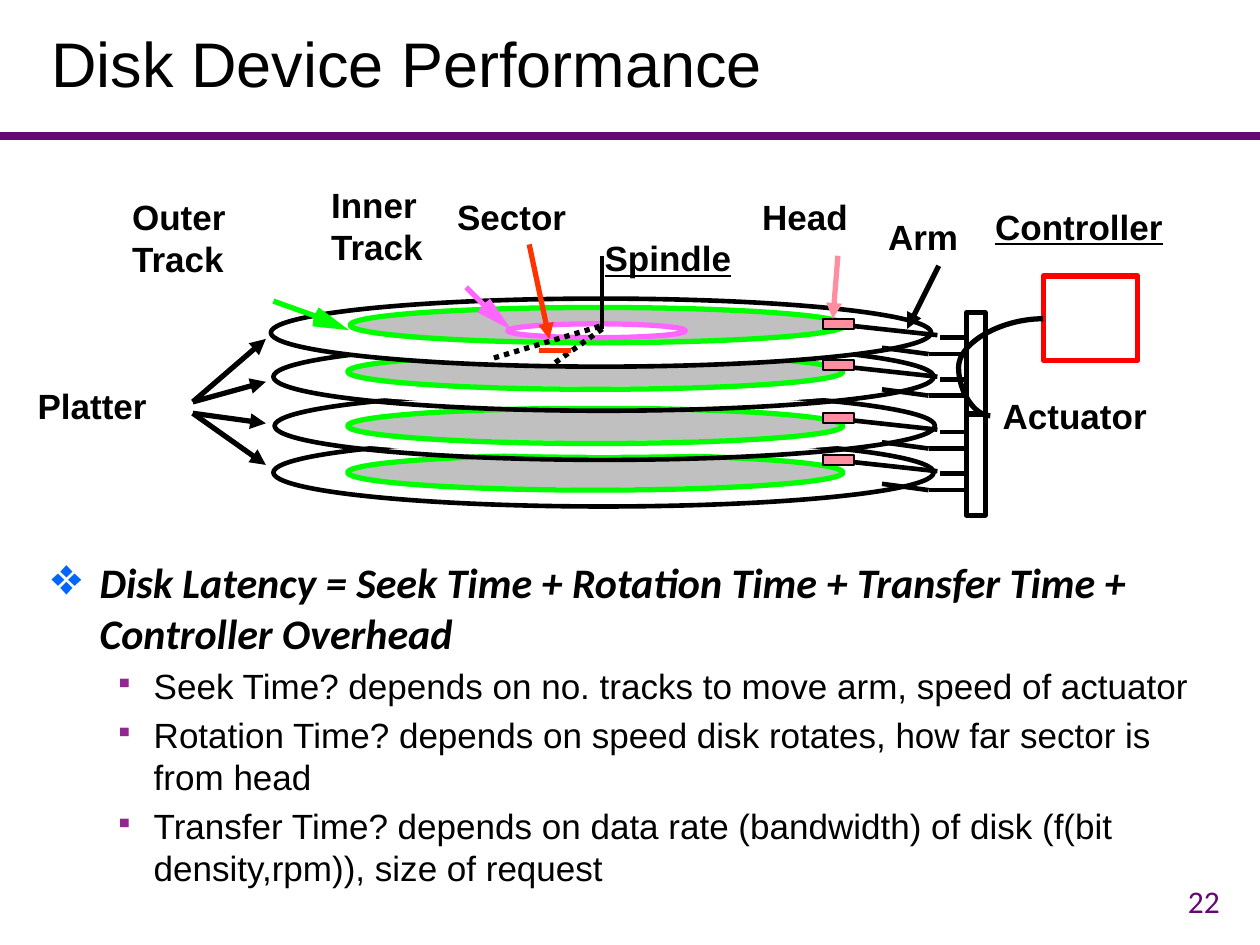
import pptx
import pptx.dml.color
import pptx.enum.dml
import pptx.enum.shapes
import pptx.enum.text
import pptx.oxml.ns
import pptx.util
from lxml import etree
from pptx.util import Inches


class Theme:
    black, white, grey = "000000", "FFFFFF", "C0C0C0"
    purple, bullet_blue, bullet_purple = "670775", "0066FF", "92278F"
    green, magenta, orange, pink, red = "00FF00", "FF66FF", "FF3300", "FF8DA0", "FF0000"
    heading_font, note_font = "Arial", "Calibri"
    title, formula, body, number = 36, 24, 20, 18
    thin, outline, heavy, rule = 1, 2.63, 3, 4.5


MSO_SHAPE = pptx.enum.shapes.MSO_SHAPE
CONNECTOR = pptx.enum.shapes.MSO_CONNECTOR
ALIGN = pptx.enum.text.PP_ALIGN
ANCHOR = pptx.enum.text.MSO_ANCHOR
rgb = pptx.dml.color.RGBColor.from_string
qn = pptx.oxml.ns.qn

deck = pptx.Presentation()
deck.slide_width, deck.slide_height = Inches(10), Inches(7.5)
slide = deck.slides.add_slide(deck.slide_layouts[6])


def add_part(kind, left, top, width, height, fill=None, line=None, weight=Theme.outline):
    part = slide.shapes.add_shape(kind, Inches(left), Inches(top), Inches(width), Inches(height))
    part.shadow.inherit = False
    if fill:
        part.fill.solid()
        part.fill.fore_color.rgb = rgb(fill)
    else:
        part.fill.background()
    if line:
        part.line.color.rgb = rgb(line)
        part.line.width = pptx.util.Pt(weight)
    else:
        part.line.fill.background()


def add_line(start, end, color=Theme.black, weight=Theme.heavy, arrow=False,
             kind=CONNECTOR.STRAIGHT):
    line = slide.shapes.add_connector(kind, *(Inches(v) for v in (*start, *end)))
    line.line.color.rgb = rgb(color)
    line.line.width = pptx.util.Pt(weight)
    if arrow:
        outline = line._element.spPr.find(qn("a:ln"))
        etree.SubElement(outline, qn("a:tailEnd"), type="triangle")
    etree.SubElement(line._element.spPr, qn("a:effectLst"))
    return line


# Rule under the title
add_line((0, 1.08), (10, 1.08), Theme.purple, Theme.rule)

# Lower platters, bottom one first
OVAL, RECT = MSO_SHAPE.OVAL, MSO_SHAPE.RECTANGLE
for left, top, track_top in [(2.17, 3.48, 3.61), (2.18, 3.11, 3.24), (2.17, 2.72, 2.81)]:
    add_part(OVAL, left + 0.03, top + 0.04, 5.16, 0.46, Theme.white)
    add_part(OVAL, left, top, 5.24, 0.54, line=Theme.black)
    add_part(OVAL, 2.78, track_top + 0.02, 3.89, 0.24, Theme.grey)
    add_part(OVAL, 2.76, track_top, 3.93, 0.28, line=Theme.green, weight=Theme.heavy)

# Top platter with outer and inner track
add_part(OVAL, 2.18, 2.4, 5.16, 0.46, Theme.grey)
add_part(OVAL, 2.15, 2.37, 5.24, 0.54, Theme.white, Theme.black)
add_part(OVAL, 2.78, 2.44, 3.93, 0.28, Theme.grey, Theme.green, Theme.heavy)
add_part(OVAL, 4.05, 2.59, 1.38, 0.07, Theme.white)
add_part(OVAL, 4.03, 2.57, 1.41, 0.11, Theme.white, Theme.magenta, Theme.heavy)

# Sector edges
for start, end in [((4.78, 2.61), (4.39, 2.89)), ((4.76, 2.59), (3.89, 2.85))]:
    edge = add_line(start, end)
    edge.line.dash_style = pptx.enum.dml.MSO_LINE.ROUND_DOT

# Actuator column
for top in (2.48, 3.29):
    add_part(RECT, 7.71, top + 0.04, 0.07, 0.72, Theme.white)
    add_part(RECT, 7.67, top, 0.15, 0.8, line=Theme.black)

# One arm assembly per platter
arm_offsets = (0, 0.33, 0.75, 1.08)
arm_segments = [((7.66, 2.68), (7.46, 2.68)), ((7.44, 2.66), (6.61, 2.57)),
                ((7.37, 2.81), (7, 2.76)), ((7.37, 2.81), (7.67, 2.81))]
for offset in arm_offsets:
    for (x1, y1), (x2, y2) in arm_segments:
        add_line((x1, y1 + offset), (x2, y2 + offset), weight=Theme.outline)

# Track pointers with long heads
for color, start, end, head in [
    (Theme.magenta, (3.7, 2.28), (3.92, 2.5),
     [(3.79, 2.48), (3.83, 2.42), (3.89, 2.37), (4.06, 2.62)]),
    (Theme.green, (2.17, 2.39), (2.62, 2.55),
     [(2.48, 2.59), (2.49, 2.51), (2.53, 2.44), (2.77, 2.62)]),
]:
    corners = [(Inches(x), Inches(y)) for x, y in head]
    outline = slide.shapes.build_freeform(*corners[0])
    outline.add_line_segments(corners[1:], close=True)
    pointer_head = outline.convert_to_shape()
    pointer_head.shadow.inherit = False
    pointer_head.fill.solid()
    pointer_head.fill.fore_color.rgb = rgb(color)
    pointer_head.line.fill.background()
    add_line(start, end, color)

# Sector mark and read heads
add_line((4.28, 2.78), (4.53, 2.78), Theme.orange)
for offset in arm_offsets:
    add_part(RECT, 6.53, 2.53 + offset, 0.25, 0.08, Theme.pink, Theme.black, Theme.thin)

# Arrows from the labels
for start, end, color in [
    ((4.2, 1.94), (4.36, 2.69), Theme.orange),
    ((6.65, 2.03), (6.61, 2.53), Theme.pink),
    ((7.45, 2.11), (7.2, 2.61), Theme.black),
    ((1.53, 3.19), (2.11, 2.69), Theme.black),
    ((1.53, 3.19), (2.11, 3.03), Theme.black),
    ((1.53, 3.28), (2.11, 3.36), Theme.black),
    ((1.53, 3.28), (2.11, 3.69), Theme.black),
]:
    add_line(start, end, color, arrow=True)

# Controller, its cable and the spindle
add_part(RECT, 8.28, 2.19, 0.75, 0.67, line=Theme.red, weight=Theme.heavy)
cable = add_line((8.28, 2.53), (7.86, 3.3), kind=CONNECTOR.CURVE)
bend = cable._element.spPr.prstGeom.get_or_add_avLst()
etree.SubElement(bend, qn("a:gd"), name="adj1", fmla="val 160000")
add_line((4.78, 2.61), (4.78, 2.03), weight=2.25)

# Part labels
for text, left, top, width, height, underlined in [
    ("Platter", 0.2, 3, 1.07, 0.44, False),
    ("Arm", 6.95, 1.66, 0.76, 0.44, False),
    ("Actuator", 7.86, 3.08, 1.36, 0.44, False),
    ("Head", 5.95, 1.5, 0.89, 0.44, False),
    ("Sector", 3.53, 1.5, 1.07, 0.44, False),
    ("Inner\nTrack", 2.53, 1.41, 0.94, 0.77, False),
    ("Outer\nTrack", 0.95, 1.5, 0.95, 0.77, False),
    ("Controller", 7.8, 1.58, 1.54, 0.44, True),
    ("Spindle", 4.7, 1.83, 1.22, 0.44, True),
]:
    label = slide.shapes.add_textbox(Inches(left), Inches(top), Inches(width), Inches(height))
    label.text_frame.word_wrap = False
    label.text_frame.text = text
    for paragraph in label.text_frame.paragraphs:
        font = paragraph.runs[0].font
        font.name, font.size, font.bold = Theme.heading_font, pptx.util.Pt(Theme.body), True
        font.color.rgb = rgb(Theme.black)
        font.underline = underlined

# Title and slide number
for text, left, top, width, height, align, face, size, color in [
    ("Disk Device Performance", 0.31, 0.09, 9.47, 0.89, ALIGN.LEFT,
     Theme.heading_font, Theme.title, Theme.black),
    ("22", 7.53, 6.95, 2.25, 0.4, ALIGN.RIGHT, Theme.note_font, Theme.number, Theme.purple),
]:
    caption = slide.shapes.add_textbox(Inches(left), Inches(top), Inches(width), Inches(height))
    caption.text_frame.word_wrap = True
    caption.text_frame.vertical_anchor = ANCHOR.MIDDLE
    caption.text_frame.text = text
    line = caption.text_frame.paragraphs[0]
    line.alignment = align
    line.line_spacing = 0.9 if size == Theme.title else 1.0
    font = line.runs[0].font
    font.name, font.size, font.color.rgb = face, pptx.util.Pt(size), rgb(color)

# Latency formula and its terms
latency = slide.shapes.add_textbox(Inches(0.34), Inches(4.39), Inches(9.41), Inches(2.75)).text_frame
latency.word_wrap = True
latency.margin_left = latency.margin_right = Inches(0.07)
latency.margin_top = latency.margin_bottom = Inches(0.03)
latency.text = "\n".join([
    "Disk Latency = Seek Time + Rotation Time + Transfer Time + Controller Overhead",
    "Seek Time? depends on no. tracks to move arm, speed of actuator",
    "Rotation Time? depends on speed disk rotates, how far sector is from head",
    "Transfer Time? depends on data rate (bandwidth) of disk (f(bit density,rpm)), size of request",
])
for index, paragraph in enumerate(latency.paragraphs):
    is_formula = index == 0
    indent, hang, mark, mark_size, mark_color, face, size = (
        (0.38, 0.38, "❖", 125, Theme.bullet_blue, Theme.note_font, Theme.formula) if is_formula
        else (0.81, 0.31, "▪", 75, Theme.bullet_purple, Theme.heading_font, Theme.body))
    properties = paragraph._p.get_or_add_pPr()
    properties.set("marL", str(Inches(indent)))
    properties.set("indent", str(-Inches(hang)))
    bullet_color = etree.SubElement(properties, qn("a:buClr"))
    etree.SubElement(bullet_color, qn("a:srgbClr"), val=mark_color)
    etree.SubElement(properties, qn("a:buSzPct"), val=str(mark_size * 1000))
    etree.SubElement(properties, qn("a:buChar"), char=mark)
    if not is_formula:
        paragraph.level = 1
        paragraph.space_before = pptx.util.Pt(4)
    font = paragraph.runs[0].font
    font.name, font.size, font.color.rgb = face, pptx.util.Pt(size), rgb(Theme.black)
    font.bold = font.italic = is_formula

deck.save("out.pptx")
